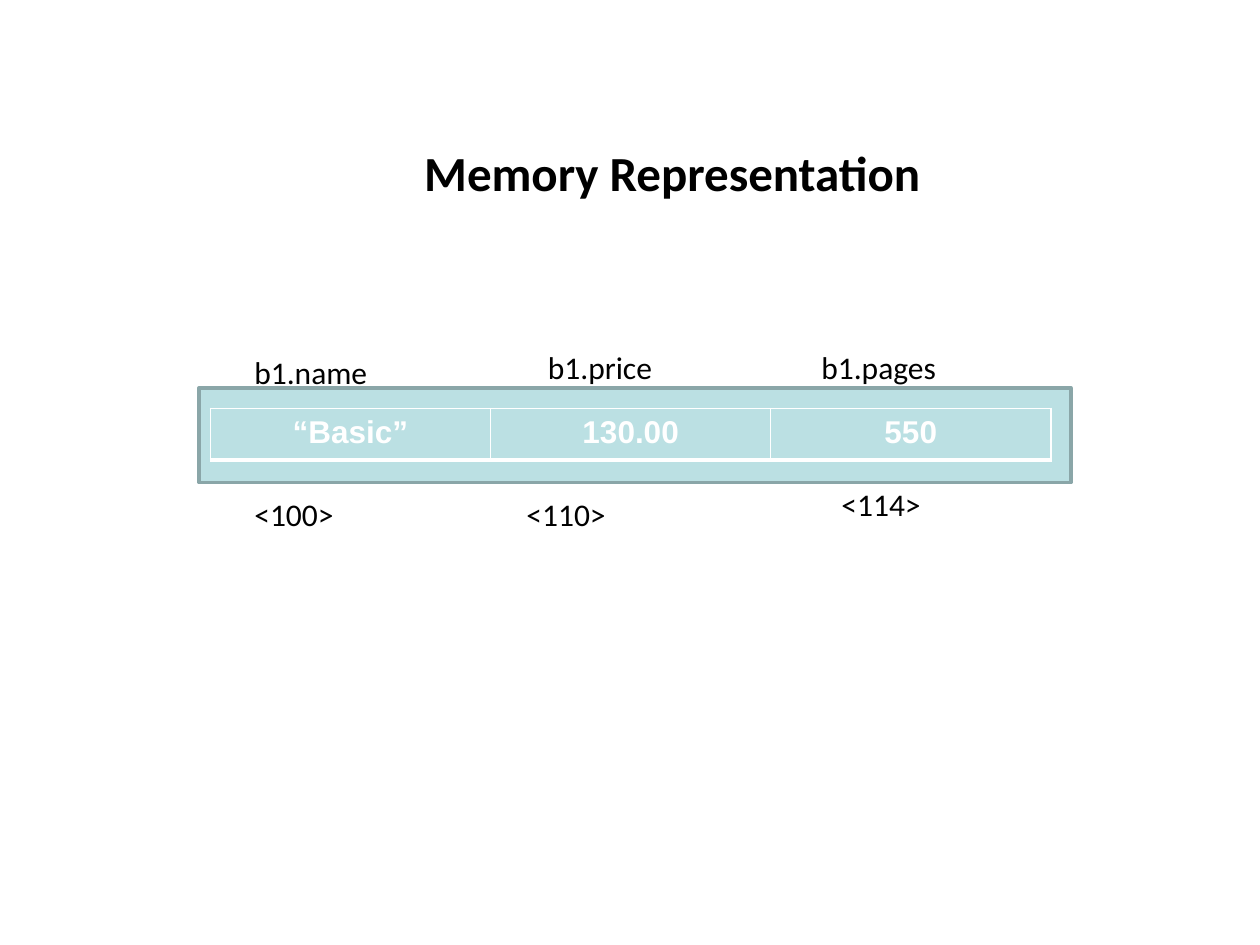
from dataclasses import dataclass

from lxml.etree import SubElement
from pptx import Presentation
from pptx.dml.color import RGBColor
from pptx.enum.shapes import MSO_SHAPE
from pptx.enum.text import MSO_AUTO_SIZE, PP_ALIGN
from pptx.oxml.ns import qn
from pptx.util import Inches, Pt


@dataclass(frozen=True)
class Theme:
    memory: RGBColor = RGBColor(0xBB, 0xE0, 0xE3)
    outline: RGBColor = RGBColor(0x8A, 0xA6, 0xA8)
    ink: RGBColor = RGBColor(0, 0, 0)
    light: RGBColor = RGBColor(255, 255, 255)
    label_font: str = "Calibri"
    value_font: str = "Arial"
    title_size: int = 28
    body_size: int = 18


THEME = Theme()
VALUES = ["“Basic”", "130.00", "550"]
LABELS = [
    ("b1.name", 1.92, 2.75),
    ("b1.price", 4.25, 2.71),
    ("b1.pages", 6.42, 2.71),
    ("<100>", 1.92, 3.88),
    ("<110>", 4.08, 3.88),
    ("<114>", 6.58, 3.8),
]
BORDERS = {"a:lnL": 1, "a:lnR": 1, "a:lnT": 1, "a:lnB": 3}


def write(frame, text, font_name, size, color, bold=False, align=PP_ALIGN.LEFT):
    frame.text = text
    paragraph = frame.paragraphs[0]
    paragraph.alignment = align
    font = paragraph.runs[0].font
    font.name = font_name
    font.size = Pt(size)
    font.bold = bold
    font.color.rgb = color


def add_label(slide, text, left, top, width=1.75, height=0.4,
              size=THEME.body_size, bold=False, align=PP_ALIGN.LEFT):
    label = slide.shapes.add_textbox(
        Inches(left), Inches(top), Inches(width), Inches(height))
    frame = label.text_frame
    frame.word_wrap = True
    frame.auto_size = MSO_AUTO_SIZE.SHAPE_TO_FIT_TEXT
    write(frame, text, THEME.label_font, size, THEME.ink, bold, align)


def add_memory_block(slide):
    block = slide.shapes.add_shape(
        MSO_SHAPE.RECTANGLE, Inches(1.58), Inches(3.08), Inches(6.92), Inches(0.75))
    block.shadow.inherit = False
    block.fill.solid()
    block.fill.fore_color.rgb = THEME.memory
    block.line.color.rgb = THEME.outline
    block.line.width = Pt(2)


def set_borders(cell):
    properties = cell._tc.get_or_add_tcPr()
    for position, (side, width) in enumerate(BORDERS.items()):
        border = SubElement(properties, qn(side), w=str(Pt(width)))
        fill = SubElement(border, qn("a:solidFill"))
        SubElement(fill, qn("a:srgbClr"), val=str(THEME.light))
        properties.insert(position, border)


def add_members(slide, values):
    members = slide.shapes.add_table(
        1, len(values), Inches(1.67), Inches(3.24), Inches(6.67), Inches(0.41)).table
    for cell, value in zip(members.rows[0].cells, values):
        cell.fill.solid()
        cell.fill.fore_color.rgb = THEME.memory
        set_borders(cell)
        write(cell.text_frame, value, THEME.value_font, THEME.body_size,
              THEME.light, True, PP_ALIGN.CENTER)


def main():
    presentation = Presentation()
    presentation.slide_width = Inches(10)
    presentation.slide_height = Inches(7.5)
    slide = presentation.slides.add_slide(presentation.slide_layouts[6])
    add_memory_block(slide)
    add_members(slide, VALUES)
    for text, left, top in LABELS:
        add_label(slide, text, left, top)
    add_label(slide, "Memory Representation", 1.42, 1.08, 7.83, 0.57,
              THEME.title_size, True, PP_ALIGN.CENTER)
    presentation.save("out.pptx")


if __name__ == "__main__":
    main()
